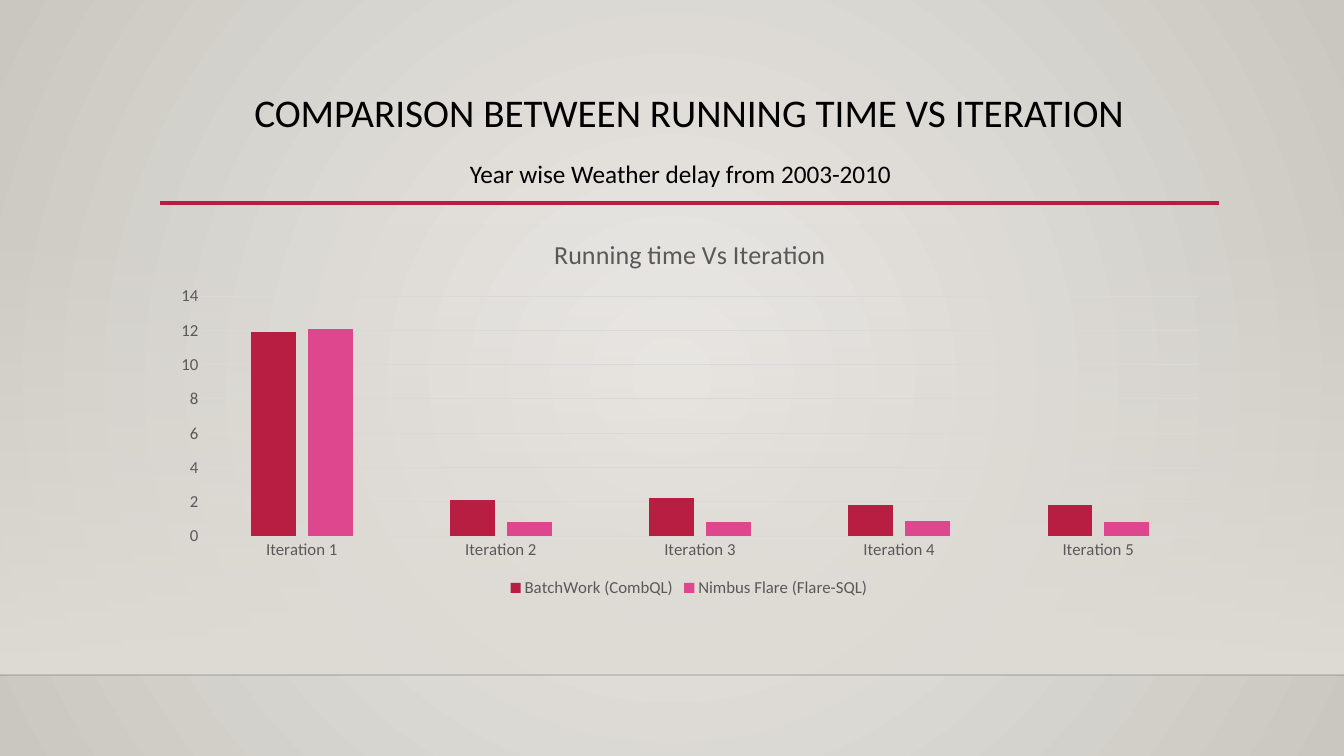
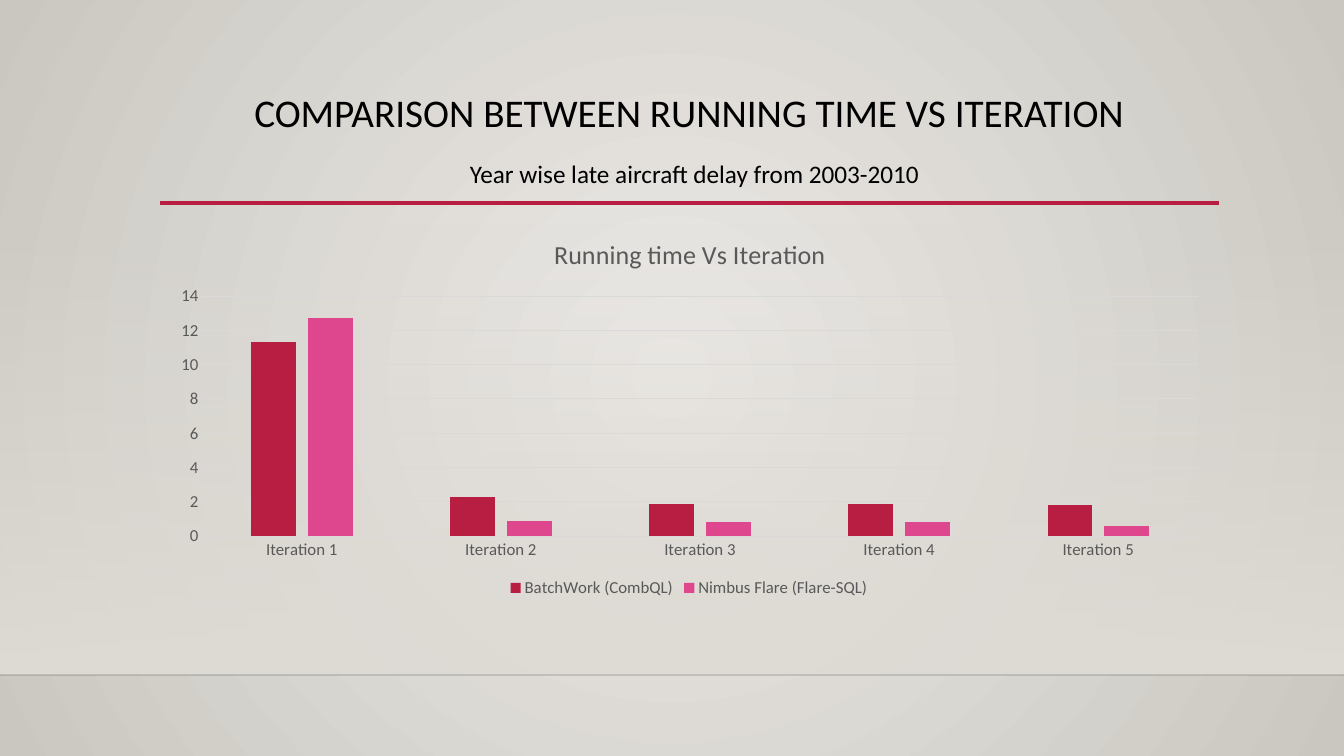
"""Build two slides that compare running times over iterations."""
from dataclasses import dataclass
from typing import NamedTuple

from pptx import Presentation
from pptx.chart.data import CategoryChartData
from pptx.dml.color import RGBColor as RGB
from pptx.enum.chart import XL_CHART_TYPE as ChartType
from pptx.enum.chart import XL_LEGEND_POSITION as LegendPos
from pptx.enum.chart import XL_TICK_MARK as Tick
from pptx.enum.shapes import MSO_CONNECTOR as Connector
from pptx.enum.shapes import MSO_SHAPE as Shape
from pptx.enum.text import MSO_ANCHOR as Anchor
from pptx.enum.text import MSO_AUTO_SIZE as AutoSize
from pptx.enum.text import PP_ALIGN as Align
from pptx.oxml import parse_xml
from pptx.oxml.ns import nsdecls, qn
from pptx.util import Emu, Pt

EMU_PER_PX = 12192000 / 1344
TITLE_ONLY = 5


@dataclass(frozen=True)
class Theme:
    font: str = "Calibri"
    ink: str = "000000"
    muted: str = "595959"
    grid: str = "D9D9D9"
    accent: str = "B71E42"
    second: str = "DE478E"
    glow: str = "ECEAE7"
    edge: str = "CAC7C1"
    floor: str = "DFDBD5"
    floor_line: str = "000001"
    title_size: float = 28
    subtitle_size: float = 18
    chart_title_size: float = 18.6
    label_size: float = 12


class Box(NamedTuple):
    x: int
    y: int
    w: int
    h: int


class Rule(NamedTuple):
    x1: int
    x2: int
    y: int
    color: str
    width: float
    alpha: int


class Stop(NamedTuple):
    pos: int
    color: str
    alpha: int


@dataclass(frozen=True)
class Comparison:
    subtitle: str
    subtitle_width: int
    batch: tuple[float, ...]
    flare: tuple[float, ...]


THEME = Theme()
PAGE = Box(0, 0, 1344, 756)
FLOOR = Box(0, 223, 1344, 452)
TITLE = Box(160, 89, 1058, 116)
CHART = Box(160, 222, 1058, 380)
PLOT = Box(202, 296, 996, 240)
CHART_TITLE = (549, 232)
SUBTITLE_AT = (460, 153)
SUBTITLE_HEIGHT = 40
RULES = (
    Rule(0, 1344, 675, THEME.floor_line, 1, 20),
    Rule(160, 1219, 203, THEME.accent, 2.5, 100),
)
HEADING = "COMPARISON BETWEEN RUNNING TIME VS ITERATION"
CHART_HEADING = "Running time Vs Iteration"
BATCH_NAME = "BatchWork (CombQL)"
FLARE_NAME = "Nimbus Flare (Flare-SQL)"
COMPARISONS = (
    Comparison("Year wise Weather delay from 2003-2010", 446,
               (11.9, 2.1, 2.2, 1.8, 1.8), (12.1, 0.8, 0.8, 0.9, 0.8)),
    Comparison("Year wise late aircraft delay from 2003-2010", 475,
               (11.3, 2.3, 1.9, 1.9, 1.8), (12.7, 0.9, 0.8, 0.8, 0.6)),
)


def px(n: int) -> Emu:
    return Emu(round(n * EMU_PER_PX))


def place(box: Box) -> tuple[Emu, ...]:
    return tuple(px(n) for n in box)


def set_font(font, size: float, color: str) -> None:
    font.name = THEME.font
    font.size = Pt(size)
    font.bold = False
    font.color.rgb = RGB.from_string(color)


def set_gradient(fill, parent, stops: tuple[Stop, ...], shade: str) -> None:
    fill.gradient()
    old = next(parent.iter(qn("a:gradFill")))
    marks = "".join(
        f'<a:gs pos="{s.pos * 1000}"><a:srgbClr val="{s.color}">'
        f'<a:alpha val="{s.alpha * 1000}"/></a:srgbClr></a:gs>' for s in stops)
    new = parse_xml(f'<a:gradFill {nsdecls("a")} rotWithShape="1">'
                    f"<a:gsLst>{marks}</a:gsLst>{shade}</a:gradFill>")
    old.getparent().replace(old, new)


def add_rule(slide, rule: Rule):
    y = px(rule.y)
    line = slide.shapes.add_connector(
        Connector.STRAIGHT, px(rule.x1), y, px(rule.x2), y)
    line.line.color.rgb = RGB.from_string(rule.color)
    line.line.width = Pt(rule.width)
    color = next(line.element.spPr.iter(qn("a:srgbClr")))
    color.append(parse_xml(
        f'<a:alpha {nsdecls("a")} val="{rule.alpha * 1000}"/>'))
    line.element.spPr.append(parse_xml(f'<a:effectLst {nsdecls("a")}/>'))
    return line


def add_floor(slide):
    sp = slide.shapes.add_shape(Shape.RECTANGLE, *place(FLOOR))
    sp.shadow.inherit = False
    sp.line.fill.background()
    set_gradient(sp.fill, sp.element.spPr,
                 (Stop(0, THEME.floor, 0), Stop(100, THEME.floor, 100)),
                 '<a:lin ang="5400000" scaled="0"/>')
    return sp


def style_master(prs, slide) -> None:
    master = prs.slide_master
    center = '<a:fillToRect l="50000" t="50000" r="50000" b="50000"/>'
    set_gradient(master.background.fill, master.element,
                 (Stop(0, THEME.glow, 100), Stop(100, THEME.edge, 100)),
                 f'<a:path path="circle">{center}</a:path>')
    decor = [add_floor(slide), *(add_rule(slide, rule) for rule in RULES)]
    for number, sp in enumerate(decor, start=20):
        next(sp.element.iter(qn("p:cNvPr"))).set("id", str(number))
        master.element.cSld.spTree.append(sp.element)


def add_title(slide) -> None:
    title = slide.shapes.title
    title.left, title.top, title.width, title.height = place(TITLE)
    tf = title.text_frame
    tf.text = HEADING
    tf.vertical_anchor = Anchor.TOP
    tf.auto_size = AutoSize.NONE
    p = tf.paragraphs[0]
    p.alignment = Align.CENTER
    p.line_spacing = 0.9
    set_font(p.font, THEME.title_size, THEME.ink)


def add_subtitle(slide, item: Comparison) -> None:
    box = Box(*SUBTITLE_AT, item.subtitle_width, SUBTITLE_HEIGHT)
    tf = slide.shapes.add_textbox(*place(box)).text_frame
    tf.word_wrap = False
    tf.auto_size = AutoSize.SHAPE_TO_FIT_TEXT
    tf.text = item.subtitle
    set_font(tf.paragraphs[0].font, THEME.subtitle_size, THEME.ink)


def set_layout(parent, index: int, target: str, **sizes: float) -> None:
    for old in parent.findall(qn("c:layout")):
        parent.remove(old)
    inner = f'<c:layoutTarget val="{target}"/>' if target else ""
    modes = '<c:xMode val="edge"/><c:yMode val="edge"/>'
    values = "".join(f'<c:{k} val="{v:.3f}"/>' for k, v in sizes.items())
    parent.insert(index, parse_xml(
        f'<c:layout {nsdecls("c")}><c:manualLayout>{inner}{modes}{values}'
        "</c:manualLayout></c:layout>"))


def in_chart(x: int, y: int) -> dict[str, float]:
    return {"x": (x - CHART.x) / CHART.w, "y": (y - CHART.y) / CHART.h}


def style_axes(chart) -> None:
    for axis in (chart.category_axis, chart.value_axis):
        axis.major_tick_mark = axis.minor_tick_mark = Tick.NONE
        set_font(axis.tick_labels.font, THEME.label_size, THEME.muted)
    chart.value_axis.minimum_scale = 0
    chart.value_axis.maximum_scale = 14
    chart.value_axis.major_unit = 2
    chart.value_axis.format.line.fill.background()
    grid = chart.value_axis.major_gridlines
    for part in (chart.category_axis, grid):
        part.format.line.color.rgb = RGB.from_string(THEME.grid)
        part.format.line.width = Pt(0.75)


def add_chart(slide, item: Comparison) -> None:
    data = CategoryChartData()
    data.categories = [f"Iteration {n + 1}" for n in range(len(item.batch))]
    data.add_series(BATCH_NAME, item.batch)
    data.add_series(FLARE_NAME, item.flare)
    chart = slide.shapes.add_chart(
        ChartType.COLUMN_CLUSTERED, *place(CHART), data).chart
    set_font(chart.font, THEME.label_size, THEME.muted)
    space = chart.element
    space.find(qn("c:txPr")).addprevious(parse_xml(
        f'<c:spPr {nsdecls("c", "a")}><a:noFill/><a:ln><a:noFill/></a:ln>'
        "</c:spPr>"))

    title = chart.chart_title
    title.text_frame.text = CHART_HEADING
    set_font(title.text_frame.paragraphs[0].font,
             THEME.chart_title_size, THEME.muted)
    title.include_in_layout = False
    set_layout(next(space.iter(qn("c:title"))), 1, "",
               **in_chart(*CHART_TITLE))
    set_layout(next(space.iter(qn("c:plotArea"))), 0, "inner",
               **in_chart(PLOT.x, PLOT.y),
               w=PLOT.w / CHART.w, h=PLOT.h / CHART.h)

    chart.has_legend = True
    chart.legend.position = LegendPos.BOTTOM
    chart.legend.include_in_layout = False
    set_font(chart.legend.font, THEME.label_size, THEME.muted)
    style_axes(chart)

    plot = chart.plots[0]
    plot.vary_by_categories = False
    plot.gap_width = 219
    plot.overlap = -27
    for series, color in zip(plot.series, (THEME.accent, THEME.second)):
        series.format.fill.solid()
        series.format.fill.fore_color.rgb = RGB.from_string(color)


def main() -> None:
    prs = Presentation()
    prs.slide_width, prs.slide_height = px(PAGE.w), px(PAGE.h)
    layout = prs.slide_layouts[TITLE_ONLY]
    slides = [prs.slides.add_slide(layout) for _ in COMPARISONS]
    style_master(prs, slides[0])
    for slide, item in zip(slides, COMPARISONS):
        add_title(slide)
        add_chart(slide, item)
        add_subtitle(slide, item)
    prs.save("out.pptx")


if __name__ == "__main__":
    main()
